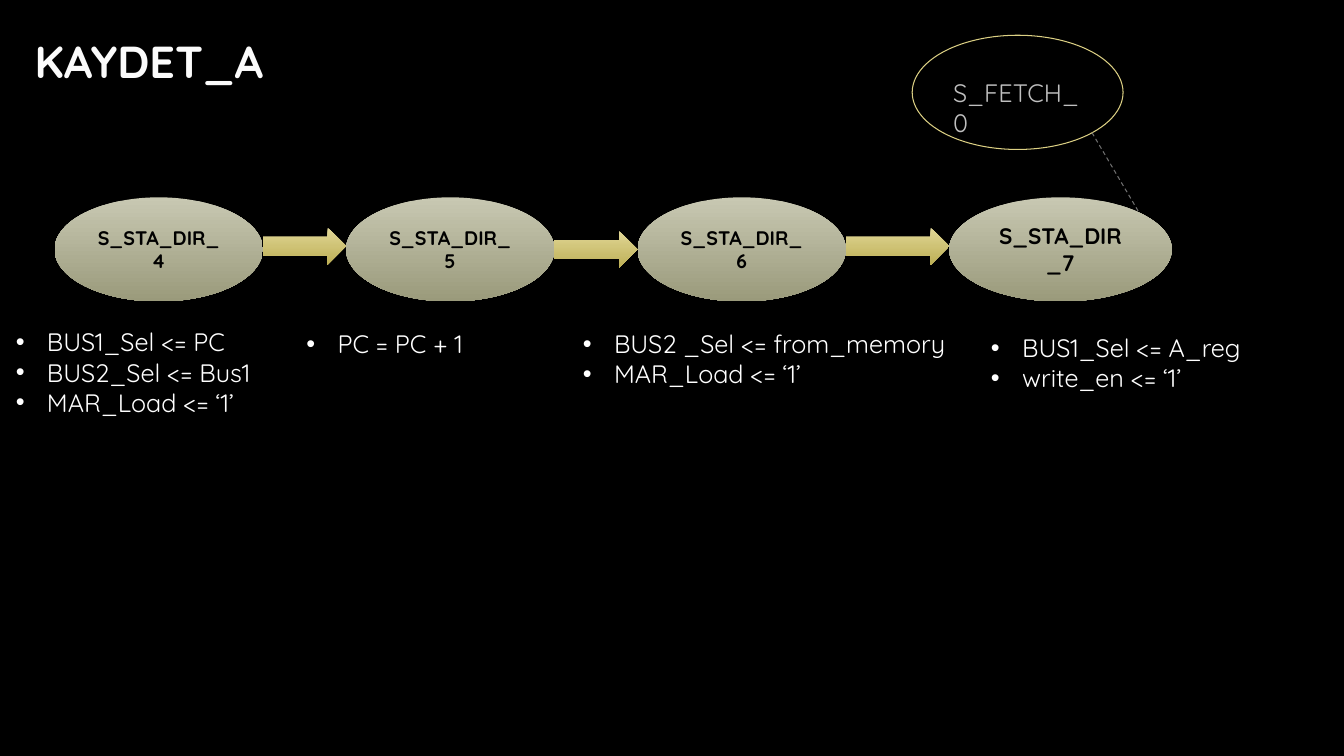
from dataclasses import dataclass
from itertools import pairwise

from lxml.etree import SubElement
from pptx import Presentation
from pptx.dml.color import RGBColor
from pptx.enum.dml import MSO_LINE
from pptx.enum.shapes import MSO_CONNECTOR, MSO_SHAPE
from pptx.enum.text import MSO_ANCHOR, PP_ALIGN
from pptx.oxml.ns import qn
from pptx.util import Inches, Pt

COLUMNS = 160
WIDTH, HEIGHT = Inches(13.33), Inches(7.5)
CELL = WIDTH / COLUMNS


@dataclass(frozen=True)
class Theme:
    """Colours, font and type sizes of the slide."""
    font: str = "Quicksand"
    background: str = "000000"
    title: str = "FBFBFB"
    note: str = "FFFFFF"
    state_text: str = "000000"
    state_fill: tuple = ("C8C8B2", "9A9A7B")
    arrow_fill: tuple = ("E1D797", "BDAF55")
    fetch_line: str = "DCD084"
    fetch_text: str = "BFBFBF"
    link: str = "6F6F6F"
    title_size: int = 32
    body_size: int = 18
    state_size: int = 14
    last_state_size: int = 16
    hairline: float = 0.75


THEME = Theme()
STATE_TOP, STATE_HEIGHT = 23.5, 12.4
STATE_LEFT, STATE_PITCH = 6.5, 34.7
STATE_WIDTH, LAST_LEFT, LAST_WIDTH = 24.8, 113, 26.5
ARROW_TOPS, ARROW_HEIGHT = (27.1, 27.5, 27.1), 4.4
NOTES = [
    (0.7, 38.3, 36.5, ["BUS1_Sel <= PC", "BUS2_Sel <= Bus1", "MAR_Load <= ‘1’"]),
    (35.3, 38.5, 36.5, ["PC = PC + 1"]),
    (68.2, 38.5, 46.4, ["BUS2 _Sel <= from_memory", "MAR_Load <= ‘1’"]),
    (116.8, 39, 36.5, ["BUS1_Sel <= A_reg", "write_en <= ‘1’"]),
]


def grid(*cells):
    """Turn grid cells into slide lengths."""
    return [round(cell * CELL) for cell in cells]


def rgb(code):
    """Read a colour code."""
    return RGBColor.from_string(code)


def style(paragraph, size, color, bold=False, align=PP_ALIGN.LEFT):
    """Set the type of a paragraph."""
    paragraph.alignment = align
    paragraph.font.name = THEME.font
    paragraph.font.size = Pt(size)
    paragraph.font.bold = bold
    paragraph.font.color.rgb = rgb(color)


def add_bullet(paragraph):
    """Give a paragraph a hanging bullet."""
    properties = paragraph._p.get_or_add_pPr()
    properties.set("marL", str(Inches(0.31)))
    properties.set("indent", str(-Inches(0.31)))
    SubElement(properties, qn("a:buFont"), typeface="Arial")
    SubElement(properties, qn("a:buChar"), char="•")


def add_text(slide, box, lines, size, color, bulleted=False, **type_options):
    """Add a wrapped text box with one paragraph per line."""
    frame = slide.shapes.add_textbox(*grid(*box)).text_frame
    frame.word_wrap = True
    frame.text = "\n".join(lines)
    for paragraph in frame.paragraphs:
        style(paragraph, size, color, **type_options)
        if bulleted:
            add_bullet(paragraph)


def add_gradient_shape(slide, preset, box, colors):
    """Add a borderless shape shaded from top to bottom."""
    shape = slide.shapes.add_shape(preset, *grid(*box))
    shape.shadow.inherit = False
    shape.line.fill.background()
    shape.fill.gradient()
    shape.fill.gradient_angle = 270
    for position, (stop, color) in enumerate(zip(shape.fill.gradient_stops, colors)):
        stop.position = position
        stop.color.rgb = rgb(color)
    return shape


def add_state(slide, name, left, width, size):
    """Add a named state of the machine."""
    box = left, STATE_TOP, width, STATE_HEIGHT
    state = add_gradient_shape(slide, MSO_SHAPE.OVAL, box, THEME.state_fill)
    frame = state.text_frame
    frame.word_wrap = True
    frame.vertical_anchor = MSO_ANCHOR.MIDDLE
    frame.text = name
    style(frame.paragraphs[0], size, THEME.state_text, True, PP_ALIGN.CENTER)


def add_fetch_state(slide):
    """Add the outlined fetch state and its dashed link."""
    fetch = slide.shapes.add_shape(MSO_SHAPE.OVAL, *grid(108.6, 4.2, 25.1, 13.6))
    fetch.shadow.inherit = False
    fetch.fill.background()
    fetch.line.color.rgb = rgb(THEME.fetch_line)
    fetch.line.width = Pt(THEME.hairline)
    add_text(slide, (112.3, 8.6, 17.5, 4.8), ["S_FETCH_0"], THEME.body_size, THEME.fetch_text)
    link = slide.shapes.add_connector(MSO_CONNECTOR.STRAIGHT, *grid(130, 15.8, 135.6, 25.3))
    link.line.color.rgb = rgb(THEME.link)
    link.line.width = Pt(THEME.hairline)
    link.line.dash_style = MSO_LINE.DASH
    SubElement(link._element.spPr, qn("a:effectLst"))


def main():
    """Build and save the slide."""
    deck = Presentation()
    deck.slide_width, deck.slide_height = WIDTH, HEIGHT
    slide = deck.slides.add_slide(deck.slide_layouts[6])
    slide.background.fill.solid()
    slide.background.fill.fore_color.rgb = rgb(THEME.background)

    add_text(slide, (-1.1, 3.4, 37.7, 7.7), ["KAYDET_A"], THEME.title_size, THEME.title,
             bold=True, align=PP_ALIGN.CENTER)

    states = [(STATE_LEFT + step * STATE_PITCH, STATE_WIDTH, THEME.state_size)
              for step in range(3)]
    states.append((LAST_LEFT, LAST_WIDTH, THEME.last_state_size))
    for number, state in enumerate(states, start=4):
        add_state(slide, f"S_STA_DIR_{number}", *state)

    for (current, following), top in zip(pairwise(states), ARROW_TOPS):
        start = current[0] + current[1]
        box = start, top, following[0] - start, ARROW_HEIGHT
        add_gradient_shape(slide, MSO_SHAPE.RIGHT_ARROW, box, THEME.arrow_fill)

    for left, top, width, lines in NOTES:
        box = left, top, width, 4.9 + 3.6 * (len(lines) - 1)
        add_text(slide, box, lines, THEME.body_size, THEME.note, bulleted=True)

    add_fetch_state(slide)
    deck.save("out.pptx")


if __name__ == "__main__":
    main()
